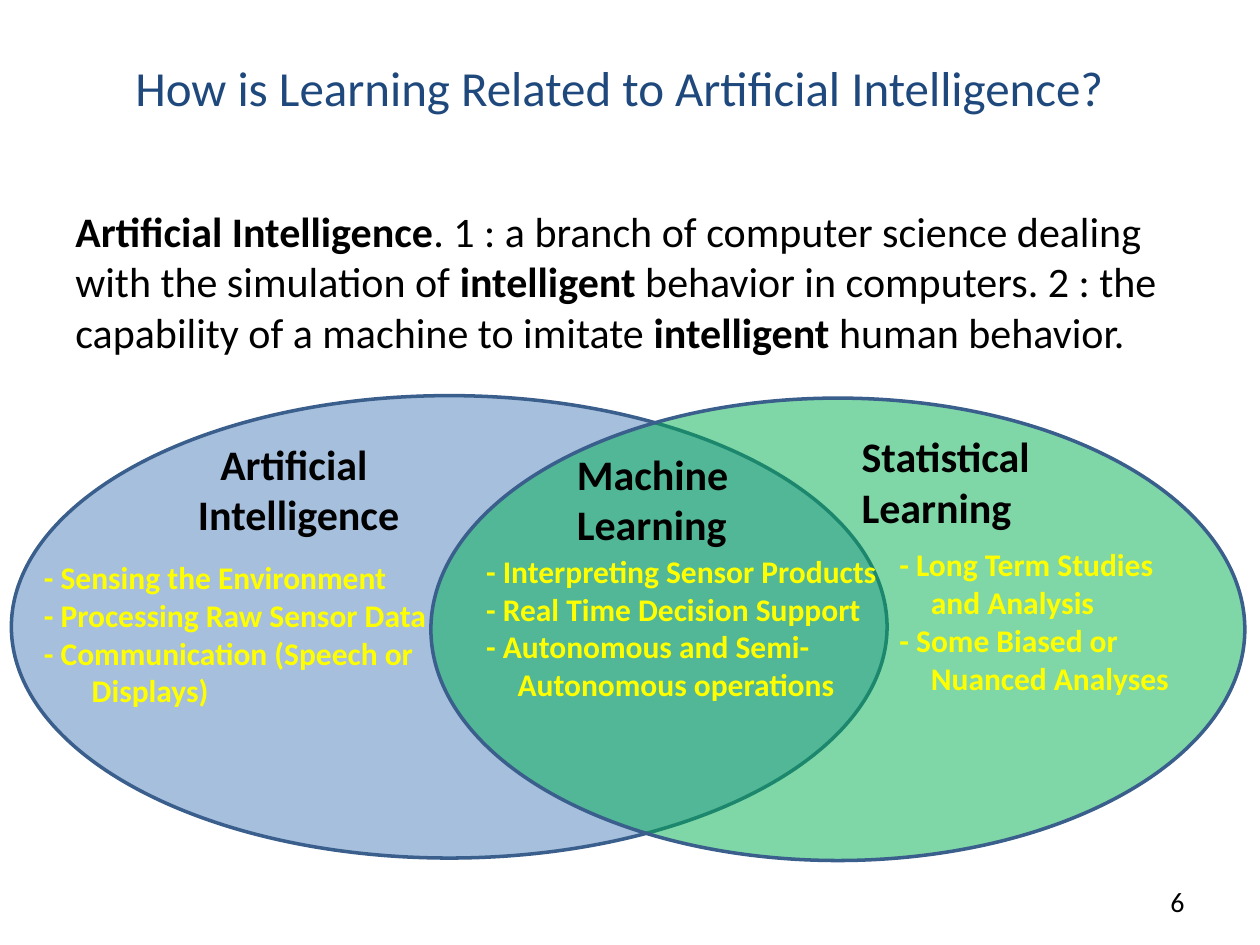
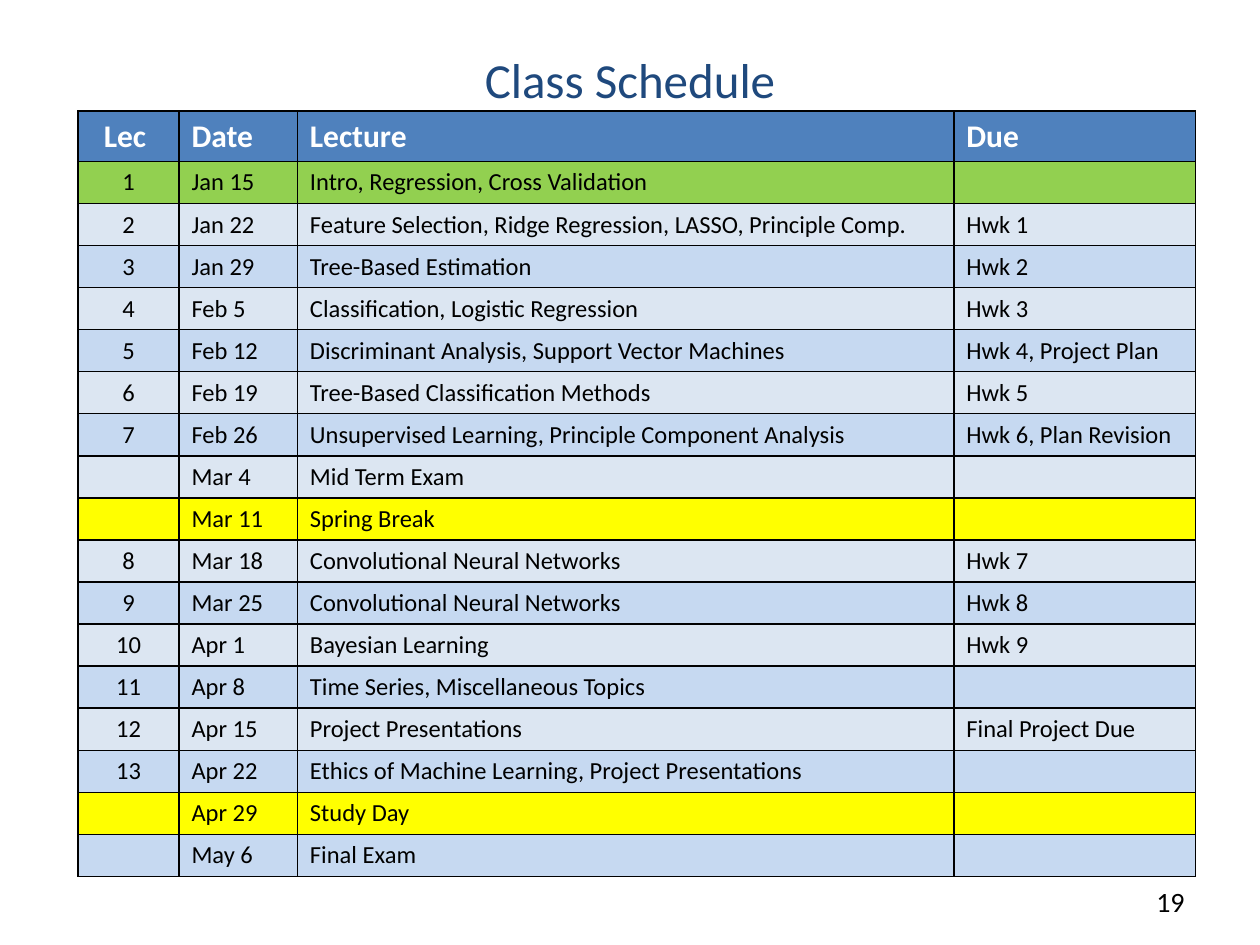
from lxml.etree import SubElement
from pptx import Presentation
from pptx.dml.color import RGBColor
from pptx.enum.shapes import MSO_SHAPE as Shape
from pptx.enum.text import MSO_ANCHOR as Anchor, PP_ALIGN as Align
from pptx.oxml import parse_xml
from pptx.oxml.ns import nsdecls, qn
from pptx.util import Inches, Pt

FONT = "Calibri"
COLORS = {
    "title": "1F497D", "text": "000000", "note": "FFFF00", "outline": "3A5F8C",
    "blue": "4F81BD", "green": "00B050", "header_text": "FFFFFF",
    "done": "92D050", "holiday": "FFFF00", "light": "DCE6F2", "dark": "C6D9F1",
}

RELATION_TITLE = "How is Learning Related to Artificial Intelligence?"
# Each paragraph is a list of (words, bold) pairs or a plain string.
DEFINITION = [[
    ("Artificial Intelligence", True),
    (". 1 : a branch of computer science dealing with the simulation of ", False),
    ("intelligent", True),
    (" behavior in computers. 2 : the capability of a machine to imitate ", False),
    ("intelligent", True),
    (" human behavior.", False),
]]
FIELDS = [  # place, colour
    ((0.09, 3.14, 6.95, 3.67), "blue"),
    ((3.42, 3.16, 6.46, 3.67), "green"),
]
FIELD_NAMES = [  # place, lines, alignment
    ((1.46, 3.43, 1.82, 0.91), ["Artificial ", "Intelligence"], Align.CENTER),
    ((6.74, 3.37, 1.56, 0.91), ["Statistical", "Learning"], Align.LEFT),
    ((4.48, 3.51, 1.42, 0.91), ["Machine", "Learning"], Align.LEFT),
]
FIELD_NOTES = [  # place, hanging indent, lines
    ((0.25, 4.38, 3.46, 1.92), 0.38,
     ["- Sensing the Environment", "- Processing Raw Sensor Data",
      "- Communication (Speech or Displays)"]),
    ((7.04, 4.28, 2.46, 2.52), 0.25,
     ["- Long Term Studies and Analysis", "- Some Biased or Nuanced Analyses"]),
    ((3.76, 4.33, 3.37, 2.52), 0.25,
     ["- Interpreting Sensor Products", "- Real Time Decision Support",
      "- Autonomous and Semi-Autonomous operations"]),
]

SCHEDULE_TITLE = "Class Schedule"
SCHEDULE_HEADER = ("Lec ", "Date", "Lecture", "Due")
SCHEDULE = [
    ("1", "Jan 15", "Intro, Regression, Cross Validation", ""),
    ("2", "Jan 22", "Feature Selection, Ridge Regression, LASSO, Principle Comp.", "Hwk 1"),
    ("3", "Jan 29", "Tree-Based Estimation", "Hwk 2"),
    ("4", "Feb 5", "Classification, Logistic Regression", "Hwk 3"),
    ("5", "Feb 12", "Discriminant Analysis, Support Vector Machines", "Hwk 4, Project Plan"),
    ("6", "Feb 19", "Tree-Based Classification Methods", "Hwk 5"),
    ("7", "Feb 26", "Unsupervised Learning, Principle Component Analysis", "Hwk 6, Plan Revision"),
    ("", "Mar 4", "Mid Term Exam", ""),
    ("", "Mar 11", "Spring Break", ""),
    ("8", "Mar 18", "Convolutional Neural Networks", "Hwk 7"),
    ("9", "Mar 25", "Convolutional Neural Networks", "Hwk 8"),
    ("10", "Apr 1", "Bayesian Learning", "Hwk 9"),
    ("11", "Apr 8", "Time Series, Miscellaneous Topics", ""),
    ("12", "Apr 15", "Project Presentations", "Final Project Due"),
    ("13", "Apr 22", "Ethics of Machine Learning, Project Presentations", ""),
    ("", "Apr 29", "Study Day", ""),
    ("", "May 6", "Final Exam", ""),
]
SPECIAL_ROWS = {"Jan 15": "done", "Mar 11": "holiday", "Apr 29": "holiday"}
COLUMN_WIDTHS = (0.8, 0.94, 5.21, 1.92)
HEADER_HEIGHT, ROW_HEIGHT = 0.4, 0.33


def rgb(name):
    return RGBColor.from_string(COLORS[name])


def inches(place):
    return [Inches(value) for value in place]


def fill_text(frame, paragraphs, size=24, color="text", bold=False, align=Align.LEFT, hanging=0):
    for index, content in enumerate(paragraphs):
        para = frame.paragraphs[0] if index == 0 else frame.add_paragraph()
        para.alignment = align
        if hanging:
            props = para._p.get_or_add_pPr()
            props.set("marL", str(Inches(hanging)))
            props.set("indent", str(-Inches(hanging)))
        if not content:  # an empty paragraph still sets the line height
            SubElement(para._p, qn("a:endParaRPr"), sz=str(size * 100))
            continue
        for words, strong in [(content, bold)] if isinstance(content, str) else content:
            span = para.add_run()
            span.text = words
            span.font.name, span.font.size, span.font.bold = FONT, Pt(size), strong
            span.font.color.rgb = rgb(color)


def add_text(slide, place, paragraphs, wrap=True, anchor=Anchor.TOP, **style):
    frame = slide.shapes.add_textbox(*inches(place)).text_frame
    frame.word_wrap = wrap
    frame.vertical_anchor = anchor
    fill_text(frame, paragraphs, **style)


def add_slide(deck, title, title_place, number):
    slide = deck.slides.add_slide(deck.slide_layouts[6])
    add_text(slide, title_place, [title], anchor=Anchor.MIDDLE,
             size=28, color="title", align=Align.CENTER)
    add_text(slide, (7.17, 6.95, 2.33, 0.4), [str(number)], anchor=Anchor.MIDDLE,
             size=16, align=Align.RIGHT)
    return slide


def add_field(slide, place, color):
    """Draw one half-transparent ellipse of the Venn diagram."""
    ellipse = slide.shapes.add_shape(Shape.OVAL, *inches(place))
    ellipse.shadow.inherit = False
    ellipse.fill.solid()
    ellipse.fill.fore_color.rgb = rgb(color)
    tint = ellipse._element.spPr.find(qn("a:solidFill"))[0]
    SubElement(tint, qn("a:alpha"), val="50000")
    ellipse.line.color.rgb = rgb("outline")
    ellipse.line.width = Pt(2)


def add_borders(cell):
    props = cell._tc.get_or_add_tcPr()
    for index, side in enumerate("LRTB"):
        props.insert(index, parse_xml(
            f'<a:ln{side} {nsdecls("a")} w="{Pt(1)}"><a:solidFill>'
            f'<a:srgbClr val="{COLORS["text"]}"/></a:solidFill></a:ln{side}>'))


def row_color(index, date):
    if index == 0:
        return "blue"
    return SPECIAL_ROWS.get(date, "dark" if index % 2 else "light")


def add_schedule(slide):
    rows = [SCHEDULE_HEADER] + SCHEDULE
    place = (0.62, 0.88, sum(COLUMN_WIDTHS), HEADER_HEIGHT + ROW_HEIGHT * len(SCHEDULE))
    table = slide.shapes.add_table(len(rows), len(COLUMN_WIDTHS), *inches(place)).table
    for column, width in zip(table.columns, COLUMN_WIDTHS):
        column.width = Inches(width)
    for row_index, values in enumerate(rows):
        header = row_index == 0
        table.rows[row_index].height = Inches(HEADER_HEIGHT if header else ROW_HEIGHT)
        for column_index, value in enumerate(values):
            cell = table.cell(row_index, column_index)
            cell.fill.solid()
            cell.fill.fore_color.rgb = rgb(row_color(row_index, values[1]))
            add_borders(cell)
            fill_text(cell.text_frame, [value], size=18 if header else 14, bold=header,
                      color="header_text" if header else "text",
                      align=Align.LEFT if column_index else Align.CENTER)


def main():
    deck = Presentation()
    deck.slide_width, deck.slide_height = Inches(10), Inches(7.5)

    relation = add_slide(deck, RELATION_TITLE, (0.08, 0.3, 9.67, 0.78), 6)
    add_text(relation, (0.5, 1.58, 9, 5.12), DEFINITION)
    for place, color in FIELDS:
        add_field(relation, place, color)
    for place, lines, align in FIELD_NAMES:
        add_text(relation, place, lines, wrap=False, bold=True, align=align)
    for place, hanging, lines in FIELD_NOTES:
        add_text(relation, place, lines, size=18, color="note", bold=True, hanging=hanging)

    schedule = add_slide(deck, SCHEDULE_TITLE, (0.5, 0, 9, 1.25), 19)
    add_schedule(schedule)
    deck.save("out.pptx")


if __name__ == "__main__":
    main()
